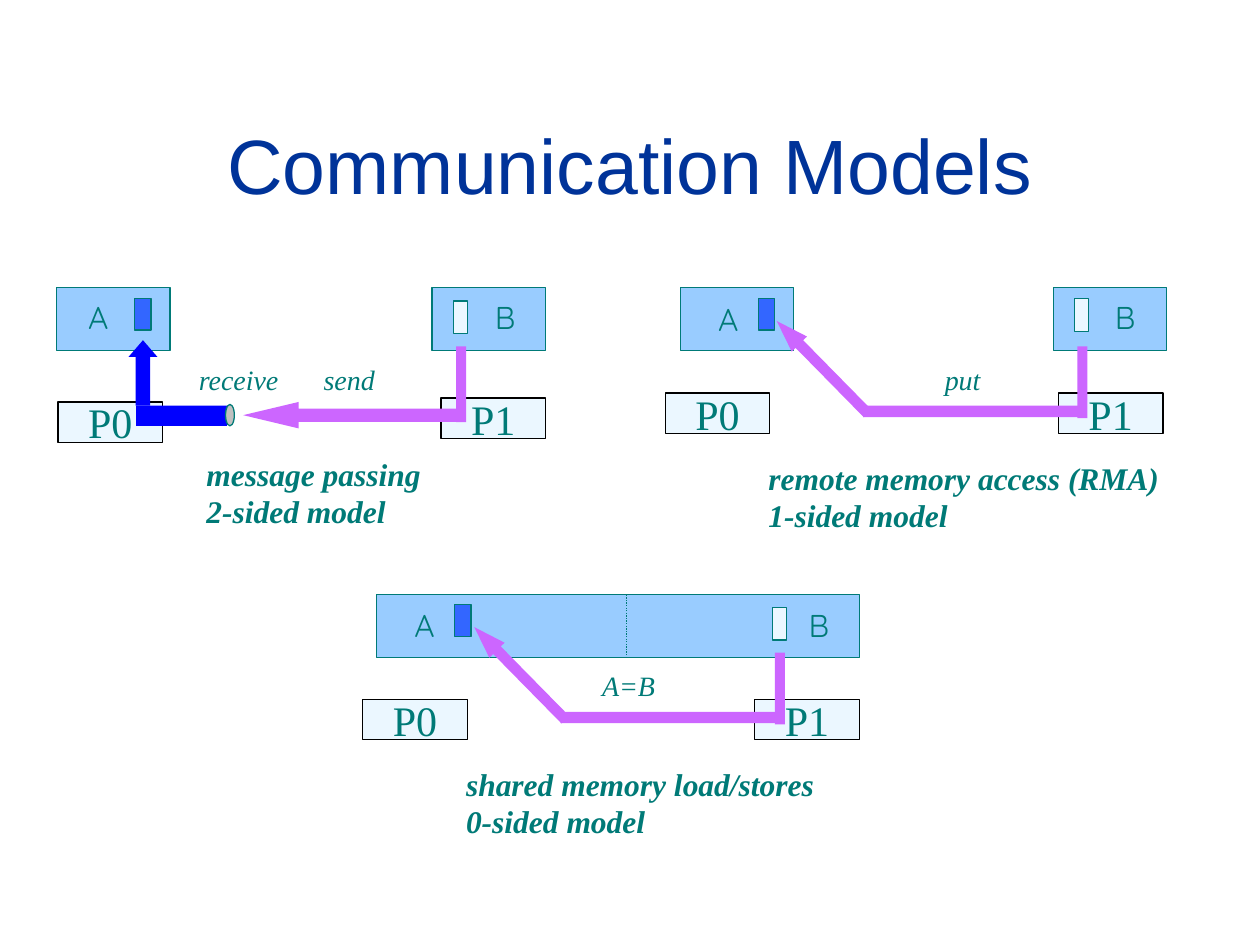
"""Draw three communication models on a grid of 100 columns by 75 rows."""
from dataclasses import dataclass
from typing import NamedTuple, Optional

from lxml import etree
from pptx import Presentation
from pptx import util as u
from pptx.dml.color import RGBColor
from pptx.enum import dml, shapes, text
from pptx.oxml.ns import qn


@dataclass(frozen=True)
class Theme:
    title: str = "003399"
    ink: str = "007A77"
    edge: str = "000000"
    memory: str = "99CCFF"
    pale: str = "EBF7FF"
    target: str = "3366FF"
    receive: str = "0000FF"
    buffer: str = "C0C0C0"
    transfer: str = "CC66FF"
    sans: str = "Arial"
    serif: str = "Times New Roman"
    rounded: str = "Quicksand"
    title_size: int = 44
    processor_size: int = 24
    body_size: int = 18
    action_size: int = 16
    line_width: float = 0.75


class Box(NamedTuple):
    column: float
    row: float
    columns: float
    rows: float


class Point(NamedTuple):
    column: float
    row: float


class Action(NamedTuple):
    words: str
    box: Box


@dataclass(frozen=True)
class Model:
    caption: tuple[str, str]
    caption_box: Box
    processors: tuple[Point, Point]
    memories: tuple[Box, ...]
    target: Point
    source: Point
    label_a: Point
    label_b: Point
    actions: tuple[Action, ...]
    one_sided_route: Optional[Point] = None


THEME = Theme()
KIND = shapes.MSO_SHAPE
MODELS = (
    Model(("message passing", "2-sided model"), Box(15.4, 35.6, 19.3, 7),
          (Point(4.6, 31.9), Point(35, 31.6)),
          (Box(4.5, 22.8, 9, 5), Box(34.3, 22.8, 9, 5)),
          Point(10.7, 23.7), Point(36, 23.9), Point(6, 23.2), Point(38.3, 23.2),
          (Action("receive", Box(14.8, 28.3, 8.6, 3.7)),
           Action("send", Box(24.7, 28.3, 6.4, 3.7)))),
    Model(("remote memory access (RMA)", "1-sided model"), Box(60, 35.9, 33.3, 7),
          (Point(52.8, 31.2), Point(84, 31.2)),
          (Box(54, 22.8, 9, 5), Box(83.6, 22.8, 9, 5)),
          Point(60.2, 23.7), Point(85.3, 23.7), Point(56, 23.3), Point(87.5, 23.2),
          (Action("put", Box(74, 28.3, 5, 3.7)),), Point(60.1, 27.5)),
    Model(("shared memory load/stores", "0-sided model"), Box(36, 60.2, 30.2, 7),
          (Point(28.8, 55.5), Point(59.9, 55.5)),
          (Box(29.9, 47.2, 38.3, 5),),
          Point(36.1, 48), Point(61.3, 48.2), Point(31.9, 47.6), Point(63.2, 47.6),
          (Action("A=B", Box(46.8, 52.6, 6.4, 3.7)),), Point(36.1, 51.8)),
)


class Canvas:
    def __init__(self, presentation) -> None:
        self.column = presentation.slide_width / 100
        self.row = presentation.slide_height / 75
        layout = presentation.slide_layouts[6]
        self.shapes = presentation.slides.add_slide(layout).shapes

    def place(self, box: Box) -> tuple[int, int, int, int]:
        return (round(box.column * self.column), round(box.row * self.row),
                round(box.columns * self.column), round(box.rows * self.row))

    def shape(self, box: Box, fill: str, line: Optional[str] = None, kind=KIND.RECTANGLE,
              adjustments: tuple[float, ...] = (), rotation: float = 0):
        shape = self.shapes.add_shape(kind, *self.place(box))
        shape.shadow.inherit = False
        shape.fill.solid()
        shape.fill.fore_color.rgb = RGBColor.from_string(fill)
        if line:
            shape.line.color.rgb = RGBColor.from_string(line)
            shape.line.width = u.Pt(THEME.line_width)
        else:
            shape.line.fill.background()
        for index, value in enumerate(adjustments):
            shape.adjustments[index] = value
        shape.rotation = rotation
        return shape

    def text_box(self, box: Box, *lines: str, **formatting) -> None:
        write(self.shapes.add_textbox(*self.place(box)), *lines, **formatting)

    def divider(self, start: Point, end: Point) -> None:
        connector = self.shapes.add_connector(
            shapes.MSO_CONNECTOR.STRAIGHT,
            round(start.column * self.column), round(start.row * self.row),
            round(end.column * self.column), round(end.row * self.row))
        connector.line.color.rgb = RGBColor.from_string(THEME.ink)
        connector.line.width = u.Pt(THEME.line_width)
        connector.line.dash_style = dml.MSO_LINE.ROUND_DOT
        etree.SubElement(connector._element.spPr, qn("a:effectLst"))


def write(shape, *lines: str, size: int = THEME.body_size, font: str = THEME.serif,
          color: str = THEME.ink, bold: bool = False, italic: bool = False,
          centered: bool = False, wrap: bool = False) -> None:
    frame = shape.text_frame
    frame.word_wrap = wrap
    if centered:
        frame.vertical_anchor = text.MSO_ANCHOR.MIDDLE
    else:
        frame.auto_size = text.MSO_AUTO_SIZE.SHAPE_TO_FIT_TEXT
    for index, line in enumerate(lines):
        paragraph = frame.add_paragraph() if index else frame.paragraphs[0]
        paragraph.alignment = text.PP_ALIGN.CENTER if centered else text.PP_ALIGN.LEFT
        run = paragraph.add_run()
        run.text = line
        run.font.size, run.font.name = u.Pt(size), font
        run.font.bold, run.font.italic = bold, italic
        run.font.color.rgb = RGBColor.from_string(color)


def draw_two_sided_route(canvas: Canvas) -> None:
    canvas.shape(Box(10.8, 32.2, 7.2, 1.6), THEME.receive)
    canvas.shape(Box(10.2, 27, 2.3, 5.2), THEME.receive, kind=KIND.UP_ARROW,
                 adjustments=(0.5, 0.58))
    canvas.shape(Box(17.9, 32.1, 0.7, 1.7), THEME.buffer, THEME.ink, KIND.OVAL)
    canvas.shape(Box(19.3, 31.9, 17.3, 2.1), THEME.transfer, kind=KIND.LEFT_ARROW,
                 adjustments=(0.5, 2.1))
    canvas.shape(Box(36.2, 27.5, 0.8, 6), THEME.transfer)


def draw_one_sided_route(canvas: Canvas, start: Point) -> None:
    column, row = start
    canvas.shape(Box(column, row + 0.8, 10.3, 1.7), THEME.transfer, kind=KIND.LEFT_ARROW,
                 adjustments=(0.5, 1.51), rotation=45.5)
    canvas.shape(Box(column + 25.4, row, 0.8, 5.7), THEME.transfer)
    canvas.shape(Box(column + 8.4, row + 4.7, 17.5, 0.9), THEME.transfer)


def draw_model(canvas: Canvas, model: Model) -> None:
    for number, corner in enumerate(model.processors):
        processor = canvas.shape(Box(*corner, 8.3, 3.2), THEME.pale, THEME.edge)
        write(processor, f"P{number}", size=THEME.processor_size, centered=True)
    for memory in model.memories:
        canvas.shape(memory, THEME.memory, THEME.ink)
    canvas.shape(Box(*model.target, 1.3, 2.5), THEME.target, THEME.ink)
    canvas.shape(Box(*model.source, 1.1, 2.6), THEME.pale, THEME.ink)
    if model.one_sided_route:
        draw_one_sided_route(canvas, model.one_sided_route)
    else:
        draw_two_sided_route(canvas)
    canvas.text_box(Box(*model.label_a, 3.8, 4), "A", font=THEME.rounded)
    canvas.text_box(Box(*model.label_b, 3.4, 4), "B", font=THEME.rounded)
    for action in model.actions:
        canvas.text_box(action.box, action.words, size=THEME.action_size, italic=True)
    canvas.text_box(model.caption_box, *model.caption, bold=True, italic=True)


def main() -> None:
    presentation = Presentation()
    presentation.slide_width, presentation.slide_height = u.Inches(10), u.Inches(7.5)
    canvas = Canvas(presentation)
    canvas.text_box(Box(3.3, 6.7, 93.4, 12.5), "Communication Models", size=THEME.title_size,
                    font=THEME.sans, color=THEME.title, centered=True, wrap=True)
    for model in MODELS:
        draw_model(canvas, model)
    canvas.divider(Point(49.7, 47.2), Point(49.7, 52.2))
    presentation.save("out.pptx")


if __name__ == "__main__":
    main()
